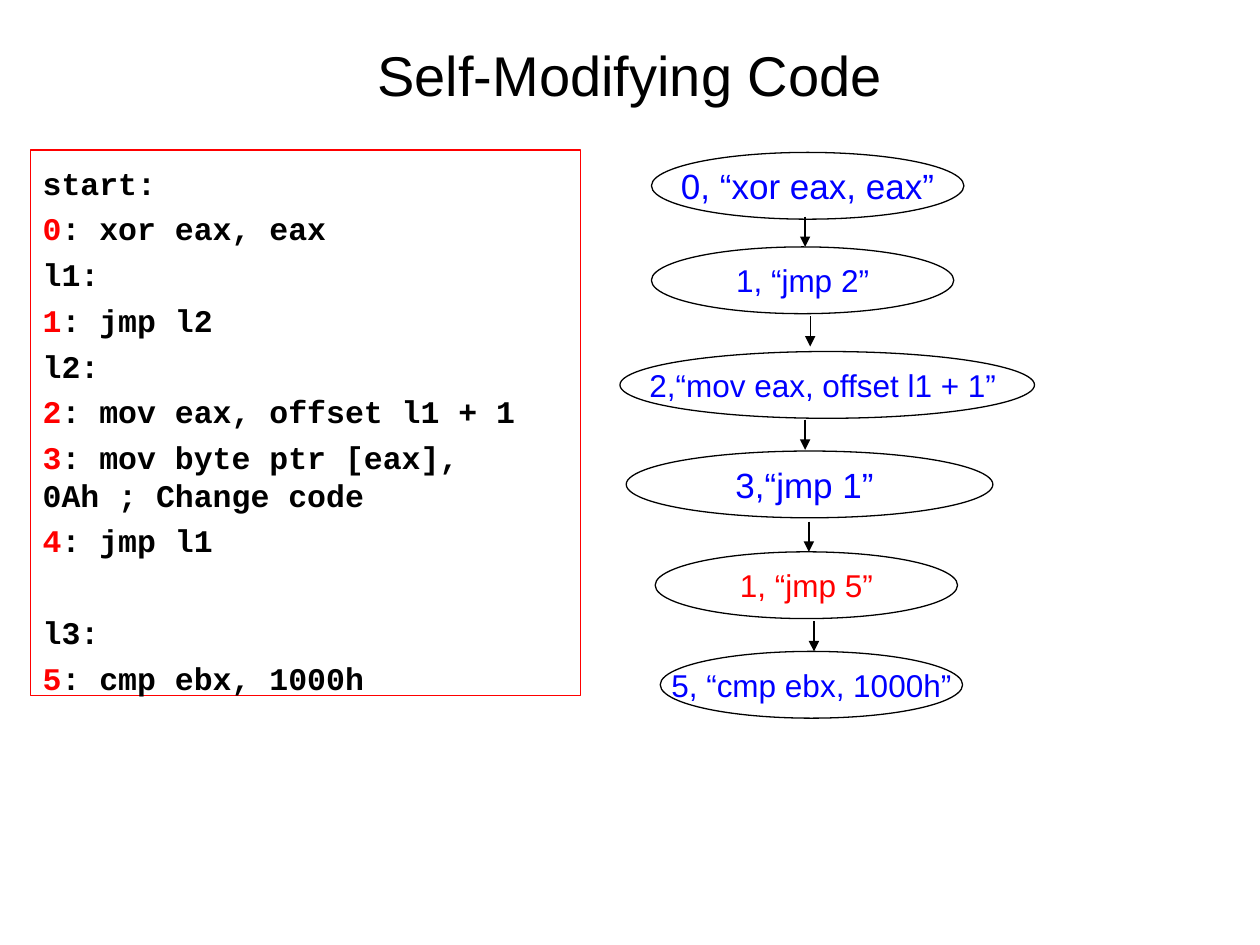
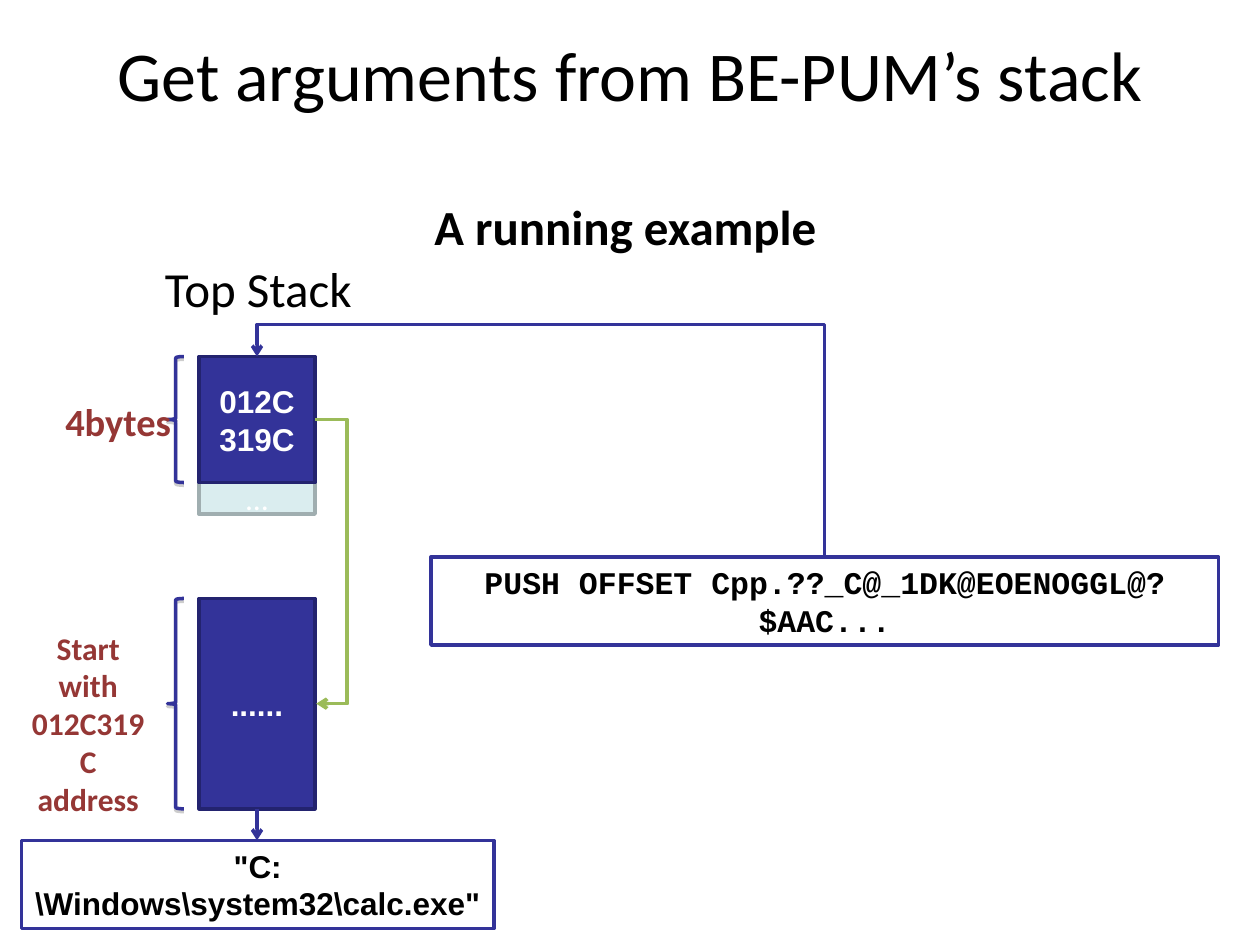
from dataclasses import dataclass

from lxml import etree
from pptx import Presentation
from pptx import util as u
from pptx.dml.color import RGBColor
from pptx.enum import shapes, text
from pptx.oxml import ns


@dataclass(frozen=True)
class Theme:
    black: str = "000000"
    white: str = "FFFFFF"
    red: str = "FF0000"
    blue: str = "0000FF"
    navy: str = "333399"
    navy_edge: str = "23236F"
    pale: str = "DAEDEF"
    pale_edge: str = "A0AEB0"
    green: str = "9BBB59"
    brown: str = "953735"
    sans: str = "Arial"
    soft: str = "Calibri"
    mono: str = "Courier New"
    body: int = 18
    large: int = 20
    note: int = 22
    heading: int = 28
    thin: float = 0.75
    thick: float = 2
    gap: float = 4.5
    section_gap: float = 30.7


T = Theme()
TITLE_AREA = (0.5, 0.13, 9, 0.91)

LISTING_AREA = (0.24, 1.19, 4.37, 4.33)
LISTING = [
    ("", "start:"),
    ("0", ": xor eax, eax"),
    ("", "l1:"),
    ("1", ": jmp l2"),
    ("", "l2:"),
    ("2", ": mov eax, offset l1 + 1"),
    ("3", ": mov byte ptr [eax], 0Ah ; Change code"),
    ("4", ": jmp l1"),
    ("", "l3:"),
    ("5", ": cmp ebx, 1000h"),
]

STATE_HEIGHT, STEP_LENGTH = 0.53, 0.24
STATES = [
    ("0, “xor eax, eax”", 5.17, 1.21, 2.48, T.large, T.blue),
    ("1, “jmp 2”", 5.17, 1.96, 2.4, T.body, T.blue),
    ("2,“mov eax, offset l1 + 1” ", 4.92, 2.79, 3.29, T.body, T.blue),
    ("3,“jmp 1” ", 4.97, 3.58, 2.91, T.large, T.blue),
    ("1, “jmp 5”", 5.2, 4.38, 2.4, T.body, T.red),
    ("5, “cmp ebx, 1000h”", 5.24, 5.17, 2.4, T.body, T.blue),
]
STEP_TIPS = [(6.39, 1.96), (6.43, 2.75), (6.39, 3.57), (6.42, 4.38), (6.46, 5.17)]

STACK_LEFT, STACK_WIDTH = 1.58, 0.92
STACK_MID, STACK_RIGHT = STACK_LEFT + STACK_WIDTH / 2, STACK_LEFT + STACK_WIDTH
TOP_CELL, MEMORY = (2.83, 1), (4.75, 1.67)
CELLS = [
    ("......", MEMORY, T.navy, T.navy_edge, T.sans, True),
    ("…", (3.83, 0.25), T.pale, T.pale_edge, T.soft, False),
    ("012C\n319C", TOP_CELL, T.navy, T.navy_edge, T.sans, True),
]
BRACE_LEFT, BRACE_WIDTH = 1.33, 0.13
LABELS = [
    ("A running example", (3.35, 1.51, 3.24, 0.57), T.heading, T.black, True, "LEFT"),
    ("Top Stack", (1.21, 2, 1.72, 0.57), T.heading, T.black, False, "LEFT"),
    ("4bytes", (0.42, 3.11, 1.04, 0.47), T.note, T.brown, True, "LEFT"),
    ("Start\nwith\n012C319C\naddress", (0.09, 4.94, 1.22, 1.3), T.body, T.brown, True, "CENTER"),
]
PUSH_AREA, STRING_AREA = (3.42, 4.42, 6.25, 0.7), (0.17, 6.67, 3.75, 0.7)
CALLOUTS = [
    ("PUSH OFFSET Cpp.??_C@_1DK@EOENOGGL@?$AAC...", PUSH_AREA, T.mono),
    ('"C:\\Windows\\system32\\calc.exe"', STRING_AREA, T.sans),
]


def inches(*lengths):
    return [u.Inches(length) for length in lengths]


def sub(parent, tag, **attributes):
    return etree.SubElement(parent, ns.qn(tag), attributes)


def write(shape, content, size=T.body, font=T.sans, color=T.black, bold=False,
          align="CENTER", anchor="MIDDLE", wrap=True, insets=(0.1, 0.05, 0.1, 0.05), spaces=()):
    frame = shape.text_frame
    frame.word_wrap = wrap
    frame.vertical_anchor = getattr(text.MSO_ANCHOR, anchor)
    frame.margin_left, frame.margin_top, frame.margin_right, frame.margin_bottom = inches(*insets)
    lines = [[(line, color)] for line in content.split("\n")] if isinstance(content, str) else content
    for index, line in enumerate(lines):
        paragraph = frame.add_paragraph() if index else frame.paragraphs[0]
        paragraph.alignment = getattr(text.PP_ALIGN, align)
        if spaces:
            paragraph.space_before = u.Pt(spaces[index])
        for words, run_color in line:
            run = paragraph.add_run()
            run.text = words
            run.font.size, run.font.name, run.font.bold = u.Pt(size), font, bold
            run.font.color.rgb = RGBColor.from_string(run_color)


def outline(line, color, width):
    line.color.rgb = RGBColor.from_string(color)
    line.width = u.Pt(width)


def draw(slide, preset, area, edge, width, fill=None):
    shape = slide.shapes.add_shape(getattr(shapes.MSO_SHAPE, preset), *inches(*area))
    shape.shadow.inherit = False
    if fill:
        shape.fill.solid()
        shape.fill.fore_color.rgb = RGBColor.from_string(fill)
    else:
        shape.fill.background()
    outline(shape.line, edge, width)
    return shape


def label(slide, content, area, **style):
    write(slide.shapes.add_textbox(*inches(*area)), content, **style)


def arrow(slide, start, end, color, width, head, bend=None, turned=False):
    if turned:
        mid_x, mid_y = (start[0] + end[0]) / 2, (start[1] + end[1]) / 2
        half_w, half_h = abs(end[1] - start[1]) / 2, abs(end[0] - start[0]) / 2
        start, end = (mid_x - half_w, mid_y + half_h), (mid_x + half_w, mid_y - half_h)
    kind = shapes.MSO_CONNECTOR.STRAIGHT if bend is None else shapes.MSO_CONNECTOR.ELBOW
    connector = slide.shapes.add_connector(kind, *inches(*start, *end))
    outline(connector.line, color, width)
    properties = connector._element.spPr
    sub(properties.find(ns.qn("a:ln")), "a:tailEnd", type=head)
    sub(properties, "a:effectLst")
    if turned:
        properties.find(ns.qn("a:xfrm")).set("rot", str(270 * 60000))
    if bend is not None:
        guides = properties.find(ns.qn("a:prstGeom")).find(ns.qn("a:avLst"))
        sub(guides, "a:gd", name="adj1", fmla=f"val {round(bend * 100000)}")


def brace(slide, top, height):
    shape = draw(slide, "LEFT_BRACE", (BRACE_LEFT, top, BRACE_WIDTH, height), T.navy, T.thick)
    effects = shape._element.spPr.find(ns.qn("a:effectLst"))
    shadow = sub(effects, "a:outerShdw", dist=str(u.Pt(1.6)), dir=str(90 * 60000), rotWithShape="0")
    sub(sub(shadow, "a:srgbClr", val="808080"), "a:alpha", val="38000")


def new_slide(deck, title, **style):
    slide = deck.slides.add_slide(deck.slide_layouts[6])
    label(slide, title, TITLE_AREA, **style)
    return slide


def build_code_slide(deck):
    slide = new_slide(deck, "Self-Modifying Code", size=32)
    lines = [[(words, color) for words, color in ((number, T.red), (code, T.black)) if words]
             for number, code in LISTING]
    spaces = [T.section_gap if code == "l3:" else T.gap for _, code in LISTING]
    spaces[0] = 0
    listing = draw(slide, "RECTANGLE", LISTING_AREA, T.red, T.thin)
    write(listing, lines, font=T.mono, bold=True, align="LEFT", anchor="TOP",
          insets=(0.1, 0.11, 0.4, 0.05), spaces=spaces)
    for words, left, top, width, size, color in STATES:
        state = draw(slide, "OVAL", (left, top, width, STATE_HEIGHT), T.black, T.thin)
        write(state, words, size=size, color=color, wrap=False)
    for x, tip in STEP_TIPS:
        arrow(slide, (x, tip - STEP_LENGTH), (x, tip), T.black, T.thin, "triangle")


def build_stack_slide(deck):
    slide = new_slide(deck, "Get arguments from BE-PUM’s stack", size=40, font=T.soft)
    for words, (top, height), fill, edge, font, bold in CELLS:
        cell = draw(slide, "RECTANGLE", (STACK_LEFT, top, STACK_WIDTH, height), edge, T.thick, fill)
        write(cell, words, font=font, color=T.white, bold=bold)
    for top, height in (TOP_CELL, MEMORY):
        brace(slide, top, height)
    for words, area, size, color, bold, align in LABELS:
        label(slide, words, area, size=size, font=T.soft, color=color, bold=bold,
              align=align, anchor="TOP", wrap=False)
    for words, area, font in CALLOUTS:
        callout = draw(slide, "RECTANGLE", area, T.navy, T.thick, T.white)
        write(callout, words, font=font, bold=True, anchor="TOP")
    top_mid, memory_mid = (top + height / 2 for top, height in (TOP_CELL, MEMORY))
    push_mid = PUSH_AREA[0] + PUSH_AREA[2] / 2
    arrow(slide, (STACK_RIGHT, top_mid), (STACK_RIGHT + 0.01, memory_mid),
          T.green, T.thick, "arrow", bend=26)
    arrow(slide, (STACK_MID, sum(MEMORY)), (STACK_MID, STRING_AREA[1]), T.navy, T.thick, "arrow")
    arrow(slide, (push_mid, PUSH_AREA[1]), (STACK_MID, TOP_CELL[0]),
          T.navy, T.thick, "arrow", bend=1.16, turned=True)


def main():
    deck = Presentation()
    deck.slide_width, deck.slide_height = inches(10, 7.5)
    build_code_slide(deck)
    build_stack_slide(deck)
    deck.save("out.pptx")


if __name__ == "__main__":
    main()
